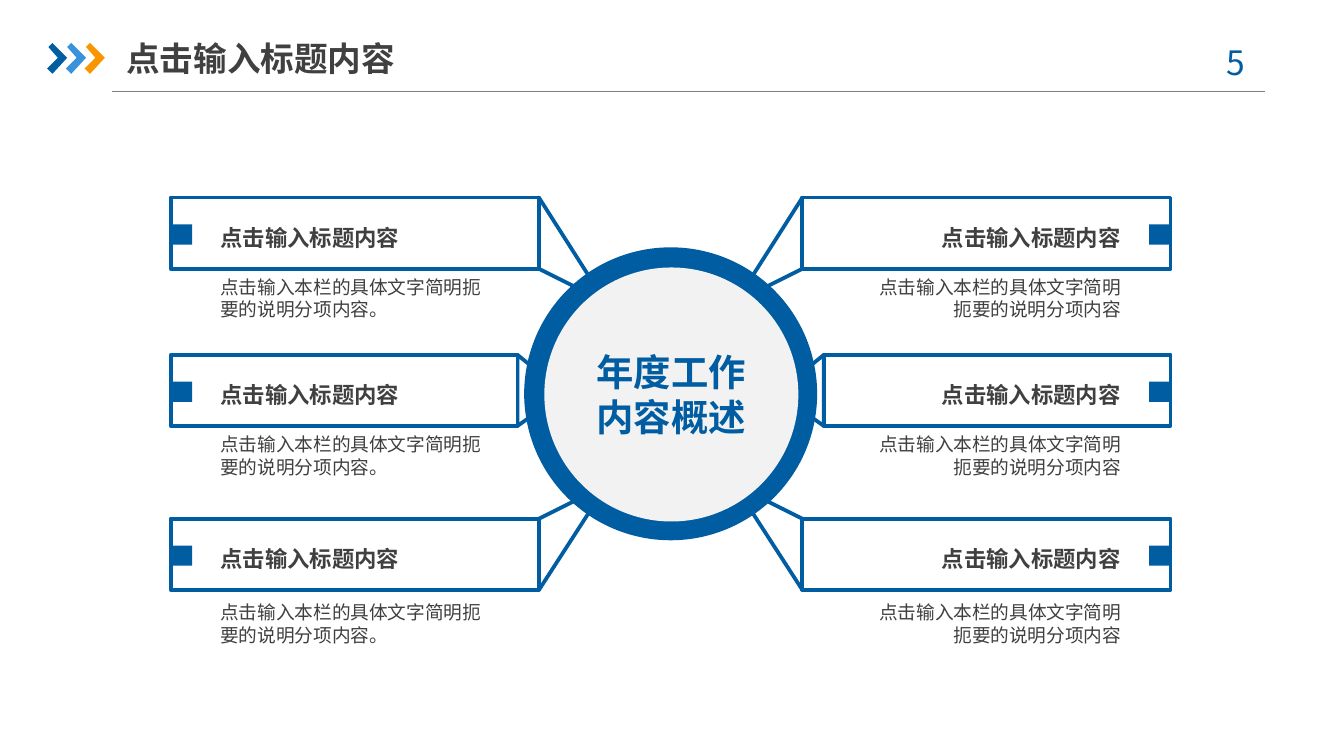
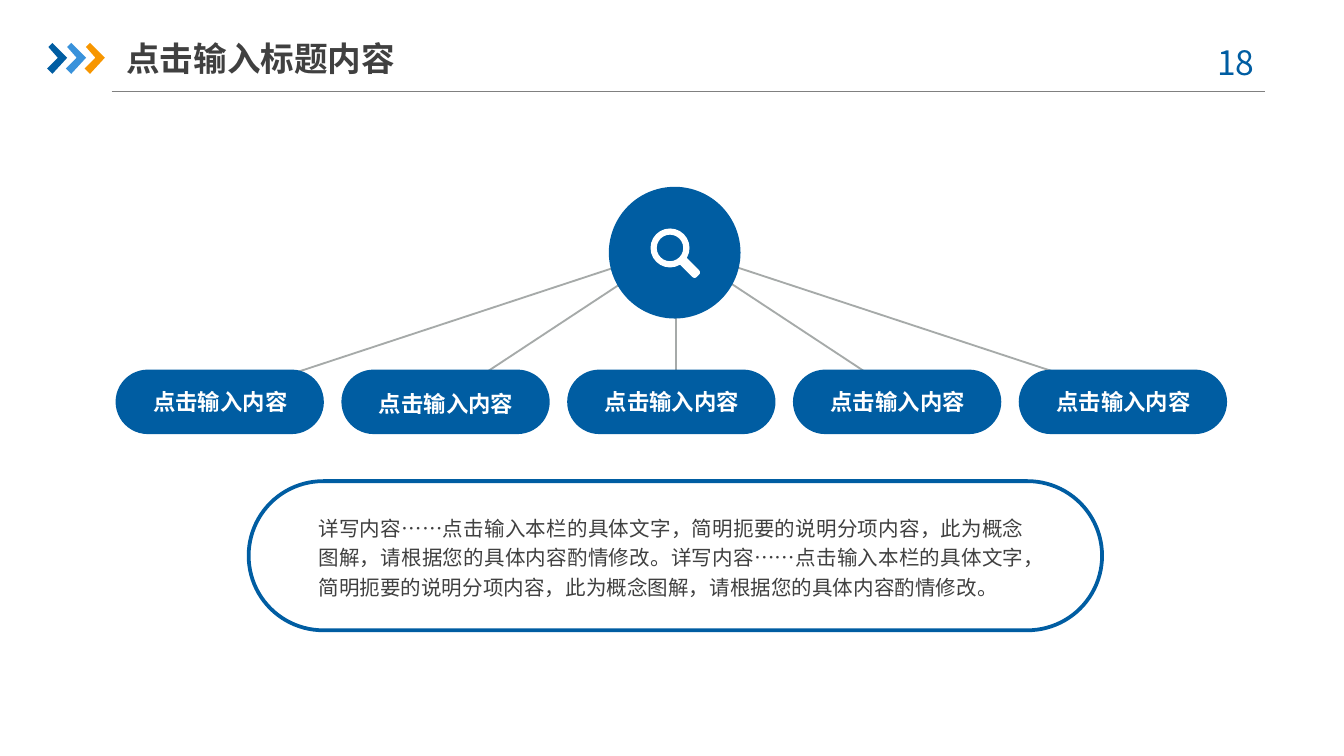
from pptx import Presentation
from pptx.dml.color import RGBColor
from pptx.enum.shapes import MSO_CONNECTOR, MSO_SHAPE
from pptx.enum.text import MSO_ANCHOR, PP_ALIGN
from pptx.oxml.ns import qn
from pptx.util import Inches, Pt
from lxml import etree

RECT, ROUND = MSO_SHAPE.RECTANGLE, MSO_SHAPE.ROUNDED_RECTANGLE
OVAL, DONUT = MSO_SHAPE.OVAL, MSO_SHAPE.DONUT
LINE = MSO_CONNECTOR.STRAIGHT
TOP, MID = MSO_ANCHOR.TOP, MSO_ANCHOR.MIDDLE
LEFT, RIGHT = PP_ALIGN.LEFT, PP_ALIGN.RIGHT
CENTER, JUST = PP_ALIGN.CENTER, PP_ALIGN.JUSTIFY

BLUE, SKY, GOLD = "005DA2", "3992DB", "F79600"
WHITE, PALE, INK = "FFFFFF", "F2F2F2", "404040"
GRAY, WIRE = "808080", "A6AAA9"
FONT, NUMFONT = "Arial", "Noto Sans CJK SC"
FLAT = (0, 0.05, 0, 0.05)
NONE = (0, 0, 0, 0)
WIDE = (0.1, 0.05, 0.1, 0.05)

# Content
TITLE = "点击输入标题内容"
CORE = ["年度工作", "内容概述"]
HEAD = "点击输入标题内容"
NOTE = "点击输入本栏的具体文字简明扼要的说明分项内容"
# Each row: panel top, panel inner edge, note top, wedge outline
ROWS = [
    (1.47, 4.01, 2.15, [(4.01, 1.47), (4.43, 2.13), (4.37, 2.18), (4.01, 2)]),
    (2.64, 3.85, 3.32, [(3.85, 2.64), (4.13, 2.87), (4.13, 2.97), (3.85, 3.17)]),
    (3.86, 4.01, 4.57, [(4.01, 4.39), (4.43, 3.74), (4.37, 3.68), (4.01, 3.86)]),
]
# Each pill: label, line spacing
PILLS = [("点击输入内容", gap) for gap in (0.9, 1, 0.9, 0.9, 0.9)]
DETAIL = ("详写内容……点击输入本栏的具体文字，简明扼要的说明分项内容，"
          "此为概念图解，请根据您的具体内容酌情修改。") * 2


def color(code):
    return RGBColor.from_string(code)


def paint(shape, fill, line=None, width=2):
    shape.shadow.inherit = False
    shape.fill.solid()
    shape.fill.fore_color.rgb = color(fill)
    if line:
        shape.line.color.rgb = color(line)
        shape.line.width = Pt(width)
    else:
        shape.line.fill.background()
    return shape


def block(slide, kind, x, y, w, h, fill, line=None, adj=None):
    shape = slide.shapes.add_shape(kind, Inches(x), Inches(y), Inches(w), Inches(h))
    if adj is not None:
        shape.adjustments[0] = adj
    return paint(shape, fill, line)


def outline(slide, points, fill, line=None):
    spots = [(Inches(x), Inches(y)) for x, y in points]
    path = slide.shapes.build_freeform(*spots[0])
    path.add_line_segments(spots[1:], close=True)
    return paint(path.convert_to_shape(), fill, line)


def link(slide, start, end, tint, width):
    wire = slide.shapes.add_connector(LINE, *[Inches(n) for n in start + end])
    wire.line.color.rgb = color(tint)
    wire.line.width = Pt(width)
    etree.SubElement(wire._element.spPr, qn("a:effectLst"))


def write(shape, lines, size, tint, bold=False, align=LEFT, anchor=MID,
          pad=FLAT, gap=None, font=FONT):
    frame = shape.text_frame
    frame.word_wrap = True
    frame.vertical_anchor = anchor
    (frame.margin_left, frame.margin_top,
     frame.margin_right, frame.margin_bottom) = [Inches(n) for n in pad]
    for i, line in enumerate(lines):
        para = frame.add_paragraph() if i else frame.paragraphs[0]
        para.alignment = align
        if gap:
            para.line_spacing = gap
        run = para.add_run()
        run.text = line
        run.font.name = font
        run.font.size = Pt(size)
        run.font.bold = bold
        run.font.color.rgb = color(tint)


def label(slide, x, y, w, h, text, size, tint, **style):
    box = slide.shapes.add_textbox(Inches(x), Inches(y), Inches(w), Inches(h))
    write(box, [text], size, tint, **style)


def start(deck, number):
    """Add a slide with the shared rule, chevrons, page number and title."""
    slide = deck.slides.add_slide(deck.slide_layouts[6])
    link(slide, (0.83, 0.68), (9.41, 0.68), GRAY, 0.75)
    for i, tint in enumerate((BLUE, SKY, GOLD)):
        x = 0.35 + 0.14 * i
        outline(slide, [(x + 0.01, 0.35), (x + 0.04, 0.32), (x + 0.15, 0.43),
                        (x + 0.04, 0.55), (x, 0.51), (x + 0.08, 0.43)], tint)
    label(slide, 8.86, 0.26, 0.73, 0.4, f"{number} ", 18, BLUE,
          align=CENTER, anchor=TOP, pad=WIDE, font=NUMFONT)
    label(slide, 0.94, 0.22, 2.33, 0.42, TITLE, 18, INK, bold=True)
    return slide


def overview(deck):
    slide = start(deck, 5)
    span, edge, inset, high = 9.98, 1.27, 1.64, 0.53

    for flip in (False, True):
        def place(x, w=0):
            return span - x - w if flip else x

        align = RIGHT if flip else LEFT
        wide = 1.84 if flip else 1.94
        note = NOTE if flip else NOTE + "。"
        for top, end, below, wedge in ROWS:
            # Panel, wedge towards the hub, marker
            w = end - edge
            outline(slide, [(place(x), y) for x, y in wedge], WHITE, BLUE)
            block(slide, RECT, place(edge, w), top, w, high, WHITE, BLUE)
            block(slide, RECT, place(edge, 0.16), top + 0.2, 0.16, 0.15, BLUE)
            # Heading and note
            label(slide, place(inset, 2.14), top + 0.15, 2.14, 0.31, HEAD, 12,
                  INK, bold=True, align=align, anchor=TOP)
            label(slide, place(inset, wide), below, wide, 0.14, note, 10,
                  INK, align=align)

    # Hub
    block(slide, OVAL, 3.9, 1.84, 2.18, 2.18, BLUE)
    core = block(slide, OVAL, 4.05, 1.99, 1.89, 1.89, PALE)
    write(core, CORE, 20, BLUE, bold=True, align=CENTER, pad=WIDE)


def branches(deck):
    slide = start(deck, 18)
    hub = (5.03, 1.84)

    # Lines from the hub, then the pills over their ends
    for i in range(len(PILLS)):
        link(slide, hub, (1.63 + 1.7 * i, 2.96), WIRE, 1)
    for i, (text, gap) in enumerate(PILLS):
        x = 0.86 + 1.68 * i
        block(slide, ROUND, x, 2.75, 1.55, 0.48, BLUE, adj=0.5)
        label(slide, x + 0.01, 2.83, 1.54, 0.34, text, 12, WHITE, bold=True,
              align=CENTER, pad=NONE, gap=gap)

    # Detail panel
    block(slide, ROUND, 1.85, 3.58, 6.35, 1.11, WHITE, BLUE, adj=0.5)
    label(slide, 2.37, 3.82, 5.25, 0.62, DETAIL, 11, INK, align=JUST,
          pad=NONE, gap=1.2)

    # Hub with magnifier
    block(slide, OVAL, 4.53, 1.39, 0.98, 0.98, BLUE)
    block(slide, DONUT, 4.84, 1.7, 0.29, 0.29, WHITE, adj=0.16)
    grip = block(slide, ROUND, 5.03, 1.95, 0.19, 0.07, WHITE, adj=0.3)
    grip.rotation = 45


def main():
    deck = Presentation()
    deck.slide_width = Inches(10)
    deck.slide_height = deck.slide_width * 9 // 16
    overview(deck)
    branches(deck)
    deck.save("out.pptx")


if __name__ == "__main__":
    main()
